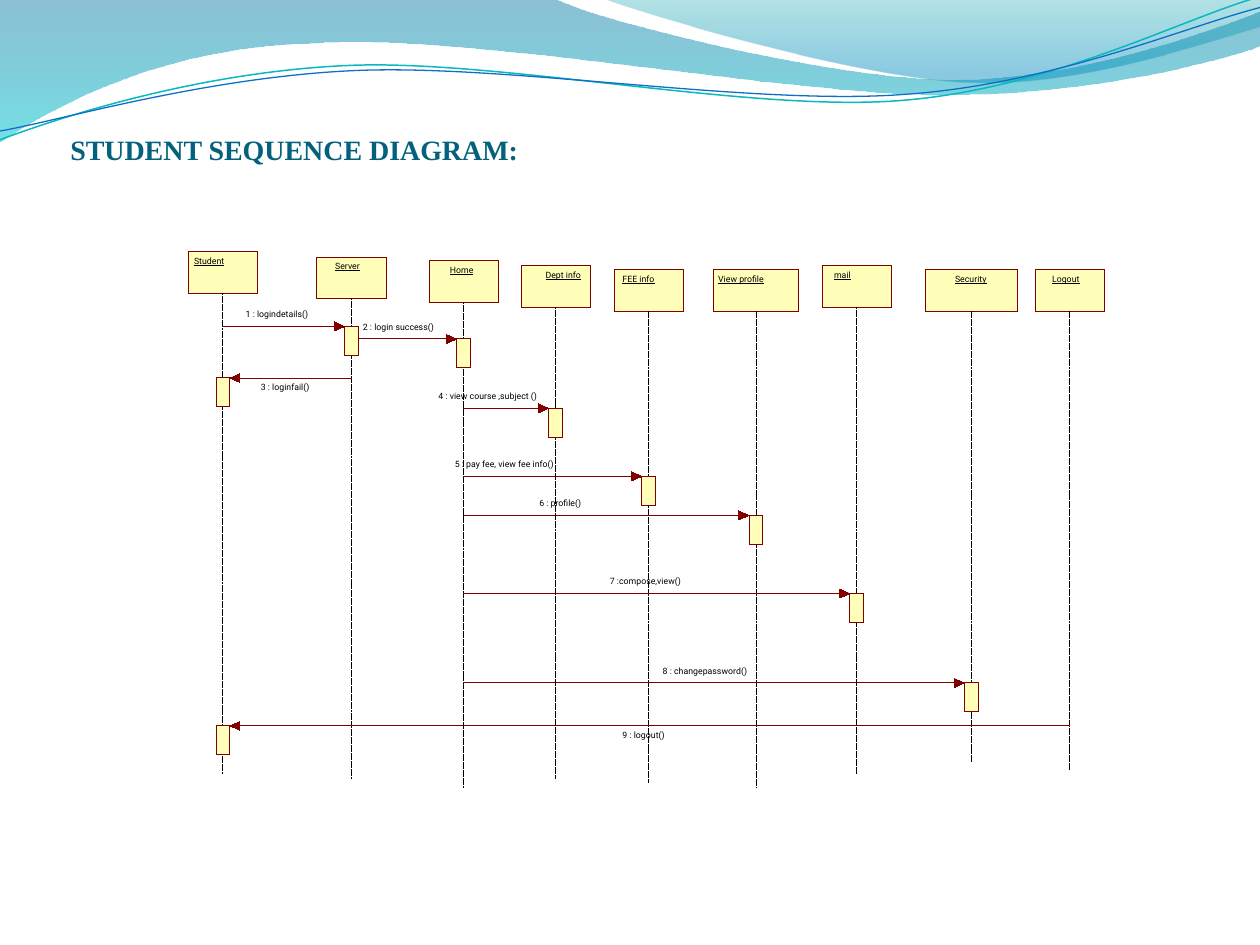
from pptx import Presentation
from pptx.dml.color import RGBColor
from pptx.enum.dml import MSO_LINE
from pptx.enum.shapes import MSO_CONNECTOR, MSO_SHAPE
from pptx.enum.text import MSO_ANCHOR, MSO_AUTO_SIZE
from pptx.oxml.ns import qn
from pptx.util import Cm, Pt
from lxml import etree

RECT = MSO_SHAPE.RECTANGLE
STRAIGHT = MSO_CONNECTOR.STRAIGHT
DOTS = MSO_LINE.ROUND_DOT
TOP, MIDDLE = MSO_ANCHOR.TOP, MSO_ANCHOR.MIDDLE
GROW = MSO_AUTO_SIZE.SHAPE_TO_FIT_TEXT
COLORS = {"box": "FFFFB9", "edge": "800000", "text": "000000", "title": "04617B",
          "teal": "0AB8BF", "blue": "0F6FC6"}
TITLE = {"size": Pt(16), "name": "Times New Roman", "bold": True}
LABEL = {"size": Pt(5), "name": "Roboto"}
NAME = {**LABEL, "underline": True}
HAIR = 0.01
HEAD_H, BAR_W, BAR_H = 0.33, 0.11, 0.23
TIP_W, TIP_H = 0.08, 0.07


def inch(val):
    """Length on the inch grid of the slide, given in centimetres."""
    return Cm(val * 2.54)


def rgb(key):
    return RGBColor.from_string(COLORS.get(key, key))


class Board:
    def __init__(self, slide):
        self.slide = slide
        self.shapes = slide.shapes

    def style(self, shape, fill=None, line=None, width=HAIR):
        shape.shadow.inherit = False
        if fill:
            shape.fill.solid()
            shape.fill.fore_color.rgb = rgb(fill)
        else:
            shape.fill.background()
        if line:
            shape.line.color.rgb = rgb(line)
            shape.line.width = Pt(width)
        else:
            shape.line.fill.background()
        return shape

    def box(self, x, y, w, h):
        shape = self.shapes.add_shape(RECT, inch(x), inch(y), inch(w), inch(h))
        return self.style(shape, "box", "edge")

    def free(self, start, parts, close=True, **look):
        """Outline of corners (two numbers) and Bezier curves (six numbers)."""
        pts = [(inch(p[i]), inch(p[i + 1])) for p in parts for i in range(0, len(p), 2)]
        form = self.shapes.build_freeform(inch(start[0]), inch(start[1]))
        form.add_line_segments(pts, close=close)
        shape = form.convert_to_shape()
        # Merge the three line steps of each curve into one Bezier step
        steps = iter(list(shape._element.iter(qn("a:lnTo"))))
        for part in parts:
            group = [next(steps) for _ in range(len(part) // 2)]
            if len(group) == 3:
                curve = etree.Element(qn("a:cubicBezTo"))
                group[0].addprevious(curve)
                for step in group:
                    curve.append(step[0])
                    step.getparent().remove(step)
        return self.style(shape, **look)

    def blend(self, start, parts, stops):
        """Closed outline with a see-through gradient from top to bottom."""
        fill = self.free(start, parts).fill
        fill.gradient()
        fill.gradient_angle = 270
        for stop, (pos, color, alpha) in zip(fill.gradient_stops, stops):
            stop.position = pos
            stop.color.rgb = rgb(color)
            node = stop._gs.find(qn("a:srgbClr"))
            etree.SubElement(node, qn("a:alpha"), val=str(alpha * 1000))

    def line(self, x1, y1, x2, y2, color, dash=None):
        link = self.shapes.add_connector(STRAIGHT, inch(x1), inch(y1), inch(x2), inch(y2))
        link.line.color.rgb = rgb(color)
        link.line.width = Pt(HAIR)
        if dash:
            link.line.dash_style = dash
        etree.SubElement(link._element.spPr, qn("a:effectLst"))
        return link

    def text(self, words, x, y, w, h, font, color="text", inset=True, anchor=TOP):
        frame = self.shapes.add_textbox(inch(x), inch(y), inch(w), inch(h)).text_frame
        form = {"word_wrap": False, "auto_size": GROW, "vertical_anchor": anchor}
        if not inset:
            form.update({f"margin_{side}": 0 for side in ("left", "top", "right", "bottom")})
        for key, val in form.items():
            setattr(frame, key, val)
        run = frame.paragraphs[0].add_run()
        run.text = words
        for key, val in font.items():
            setattr(run.font, key, val)
        run.font.color.rgb = rgb(color)

    def actor(self, name, x, y, w, left, wide, end):
        """Head box with its name and the dotted lifeline below."""
        head = self.box(x - w / 2, y, w, HEAD_H)
        self.text(name, left, y + 0.03, wide, 0.29, NAME, inset=False)
        life = self.line(x, y + HEAD_H, x, end, "text", DOTS)
        life.begin_connect(head, 2)

    def call(self, words, start, goal, y, left, wide):
        """Arrow to an activation bar, with its label."""
        way = 1 if goal > start else -1
        tip = goal - way * BAR_W / 2
        back = tip - way * TIP_W
        self.line(start, y, tip, y, "edge")
        self.free((back, y + TIP_H / 2), [(tip, y), (back, y - TIP_H / 2)],
                  fill="edge", line="edge")
        self.box(goal - BAR_W / 2, y, BAR_W, BAR_H)
        self.text(words, left, y - 0.14 if way > 0 else y + 0.03, wide, 0.29,
                  LABEL, inset=False)


# Wave bands: start, parts, gradient stops (position, colour, opacity)
BANDS = [
    ((0, 0), [(4.4, -0.01), (4.76, 0.17, 6.64, 0.63, 7.58, 0.63),
              (8.53, 0.63, 9.58, 0.26, 10, 0.09), (10.01, 0.36),
              (9.83, 0.44, 8.7, 0.76, 7.46, 0.75), (6.22, 0.75, 3.82, 0.28, 2.57, 0.34),
              (1.29, 0.36, 0.46, 0.83, -0.01, 1.13)],
     [(0, "0074A1", 45), (1, "00C6CF", 55)]),
    ((4.79, -0.01), [(5.09, 0.11, 6.82, 0.62, 7.69, 0.65),
                     (8.56, 0.69, 9.61, 0.32, 10, 0.21), (10, 0)],
     [(0, "00A1A9", 30), (0.8, "008BBF", 45)]),
]
# Wave lines: start, curves, colour, width
WAVES = [
    ((0, 1.11), [(0.48, 0.93, 1.58, 0.57, 2.77, 0.52), (3.95, 0.47, 5.93, 0.89, 7.13, 0.8),
                 (8.33, 0.71, 9.38, 0.15, 9.98, -0.02)], "teal", 0.85),
    ((0, 1.04), [(0.47, 0.96, 1.64, 0.61, 2.83, 0.56), (4.03, 0.51, 5.97, 0.84, 7.17, 0.75),
                 (8.36, 0.67, 9.41, 0.21, 10, 0.06)], "blue", 0.75),
]
# Actors: name, lifeline x, top, width, name left, name width, lifeline end
ACTORS = [
    ("Student", 1.77, 2, 0.55, 1.54, 0.29, 6.14),
    ("Server", 2.79, 2.04, 0.55, 2.66, 0.25, 6.18),
    ("Home", 3.68, 2.07, 0.55, 3.57, 0.23, 6.25),
    ("Dept info", 4.41, 2.11, 0.55, 4.33, 0.35, 6.18),
    ("FEE info", 5.15, 2.14, 0.55, 4.94, 0.32, 6.21),
    ("View profile", 6, 2.14, 0.67, 5.7, 0.46, 6.25),
    ("mail", 6.8, 2.11, 0.55, 6.62, 0.17, 6.14),
    ("Security", 7.71, 2.14, 0.73, 7.58, 0.26, 6.04),
    ("Logout", 8.49, 2.14, 0.55, 8.35, 0.25, 6.11),
]
# Calls: words, from, to, y, label left, label width
CALLS = [
    ("1 : logindetails()", "Student", "Server", 2.59, 1.95, 0.64),
    ("2 : login success()", "Server", "Home", 2.69, 2.88, 0.69),
    ("3 : loginfail()", "Server", "Student", 3, 2.07, 0.51),
    ("4 : view course ,subject ()", "Home", "Dept info", 3.24, 3.48, 0.98),
    ("5 : pay fee, view fee info()", "Home", "FEE info", 3.78, 3.61, 1.01),
    ("6 : profile()", "Home", "View profile", 4.09, 4.28, 0.45),
    ("7 :compose,view()", "Home", "mail", 4.71, 4.84, 0.7),
    ("8 : changepassword()", "Home", "Security", 5.42, 5.26, 0.84),
    ("9 : logout()", "Logout", "Student", 5.76, 4.94, 0.44),
]


def main():
    deck = Presentation()
    deck.slide_width, deck.slide_height = inch(10), inch(7.5)
    board = Board(deck.slides.add_slide(deck.slide_layouts[6]))

    # Waves along the top
    for band in BANDS:
        board.blend(*band)
    for start, parts, color, width in WAVES:
        board.free(start, parts, close=False, line=color, width=width)

    # Title
    board.text("STUDENT SEQUENCE DIAGRAM:", 0.46, 1, 3.79, 0.37, TITLE, "title", anchor=MIDDLE)

    # Sequence diagram
    for actor in ACTORS:
        board.actor(*actor)
    lives = {name: x for name, x, *_ in ACTORS}
    for words, start, goal, y, left, wide in CALLS:
        # The second call leaves from the edge of the server's bar
        shift = BAR_W / 2 if (start, goal) == ("Server", "Home") else 0
        board.call(words, lives[start] + shift, lives[goal], y, left, wide)

    deck.save("out.pptx")


if __name__ == "__main__":
    main()
